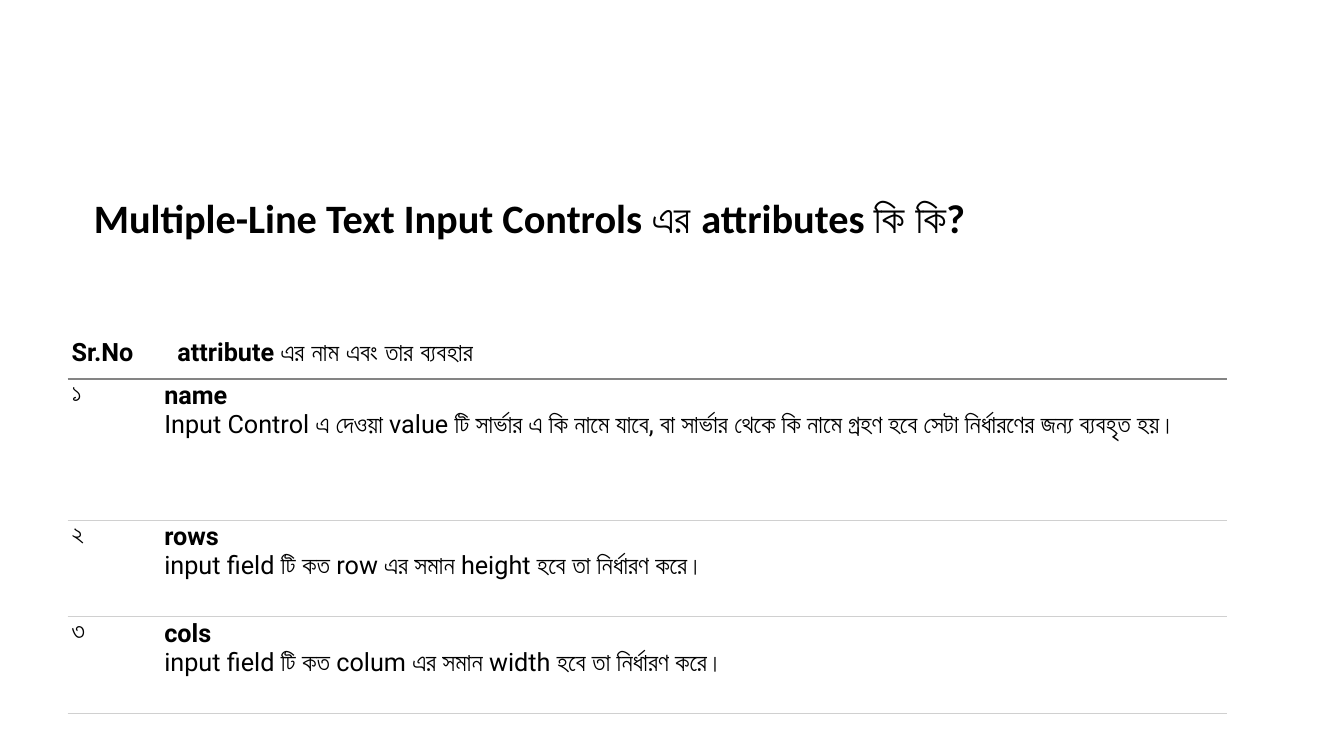
from dataclasses import dataclass

from lxml import etree
from pptx import Presentation
from pptx.dml.color import RGBColor
from pptx.enum.text import MSO_ANCHOR, PP_ALIGN
from pptx.oxml.ns import qn
from pptx.util import Inches, Length, Pt

LEFT = PP_ALIGN.LEFT
TOP, MIDDLE = MSO_ANCHOR.TOP, MSO_ANCHOR.MIDDLE
TITLE_ONLY = 5
NO_STYLE = "{2D5ABB26-0587-4C30-8999-92F81FD0307C}"


@dataclass(frozen=True)
class Theme:
    ink: str = "000000"
    header_rule: str = "848484"
    row_rule: str = "D0D0D0"
    header_rule_width: Length = Pt(1.5)
    row_rule_width: Length = Pt(0.75)
    title_font: str = "Calibri"
    body_font: str = "Roboto"
    title_size: Length = Pt(28.8)
    body_size: Length = Pt(18)


@dataclass(frozen=True)
class Attribute:
    number: str
    name: str
    usage: str
    height: Length


THEME = Theme()
TITLE = "Multiple-Line Text Input Controls এর attributes কি কি?"
HEADINGS = ("Sr.No", "attribute এর নাম এবং তার ব্যবহার")
ATTRIBUTES = (
    Attribute("১", "name",
              "Input Control এ দেওয়া value টি সার্ভার এ কি নামে যাবে, বা সার্ভার থেকে "
              "কি নামে গ্রহণ হবে সেটা নির্ধারণের জন্য ব্যবহৃত হয়।", Inches(1.4)),
    Attribute("২", "rows", "input field টি কত row এর সমান height হবে তা নির্ধারণ করে।",
              Inches(0.96)),
    Attribute("৩", "cols", "input field টি কত colum এর সমান width হবে তা নির্ধারণ করে।",
              Inches(0.96)),
)
COLUMN_WIDTHS = (Inches(0.92), Inches(10.58))
HEADER_HEIGHT = Inches(0.51)
CELL_SIDE, CELL_EDGE = Inches(0.04), Inches(0.02)
HEADING_INDENT = Inches(0.17)


def write(paragraph, text: str, font_name: str, size: Length, bold: bool) -> None:
    paragraph.text = text
    paragraph.alignment = LEFT
    font = paragraph.font
    font.name, font.size, font.bold = font_name, size, bold
    font.color.rgb = RGBColor.from_string(THEME.ink)


def rule_below(cell, color: str, width: Length) -> None:
    line = etree.Element(qn("a:lnB"), w=str(int(width)))
    fill = etree.SubElement(line, qn("a:solidFill"))
    etree.SubElement(fill, qn("a:srgbClr"), val=color)
    cell._tc.get_or_add_tcPr().insert(0, line)


def fill_cell(cell, lines: list[tuple[str, bool]], anchor: MSO_ANCHOR,
              rule: tuple[str, Length]) -> None:
    """Write (text, bold) lines and draw the rule under the cell."""
    cell.margin_left = cell.margin_right = CELL_SIDE
    cell.margin_top = cell.margin_bottom = CELL_EDGE
    cell.vertical_anchor = anchor
    cell.fill.background()
    frame = cell.text_frame
    for index, (text, bold) in enumerate(lines):
        paragraph = frame.add_paragraph() if index else frame.paragraphs[0]
        write(paragraph, text, THEME.body_font, THEME.body_size, bold)
    rule_below(cell, *rule)


def add_title(slide) -> None:
    title = slide.shapes.title
    title.left, title.top = Inches(0.83), Inches(1.92)
    title.width, title.height = Inches(11.66), Inches(0.54)
    title.text_frame.vertical_anchor = MIDDLE
    paragraph = title.text_frame.paragraphs[0]
    write(paragraph, TITLE, THEME.title_font, THEME.title_size, True)
    paragraph.line_spacing = 0.9


def add_attribute_table(slide) -> None:
    heights = [HEADER_HEIGHT, *(attribute.height for attribute in ATTRIBUTES)]
    table = slide.shapes.add_table(
        len(heights), len(COLUMN_WIDTHS), Inches(0.67), Inches(3.25),
        sum(COLUMN_WIDTHS), sum(heights)).table
    table.first_row = table.horz_banding = False
    table._tbl.tblPr.find(qn("a:tableStyleId")).text = NO_STYLE
    for column, width in zip(table.columns, COLUMN_WIDTHS):
        column.width = width
    for row, height in zip(table.rows, heights):
        row.height = height

    # Header row
    header_rule = (THEME.header_rule, THEME.header_rule_width)
    for column, heading in enumerate(HEADINGS):
        fill_cell(table.cell(0, column), [(heading, True)], MIDDLE, header_rule)
    table.cell(0, 1).margin_left = HEADING_INDENT

    # One row per attribute
    row_rule = (THEME.row_rule, THEME.row_rule_width)
    for row, attribute in enumerate(ATTRIBUTES, start=1):
        fill_cell(table.cell(row, 0), [(attribute.number, False)], TOP, row_rule)
        fill_cell(table.cell(row, 1),
                  [(attribute.name, True), (attribute.usage, False)], TOP, row_rule)


presentation = Presentation()
presentation.slide_width, presentation.slide_height = Inches(13.33), Inches(7.5)
attributes_slide = presentation.slides.add_slide(presentation.slide_layouts[TITLE_ONLY])
add_title(attributes_slide)
add_attribute_table(attributes_slide)
presentation.save("out.pptx")
